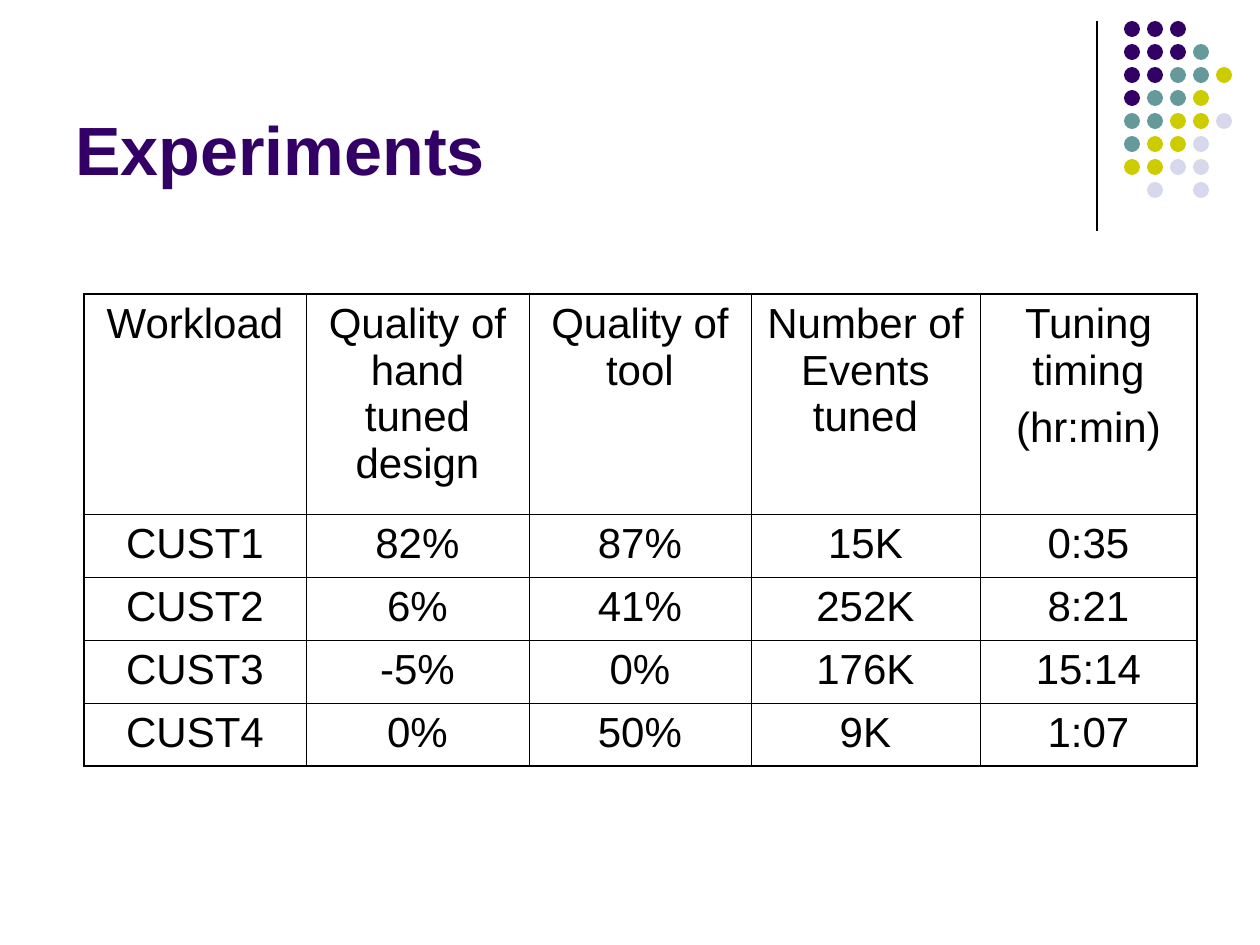
from typing import NamedTuple

import pptx
import pptx.dml.color
import pptx.enum.shapes
import pptx.enum.text
import pptx.oxml
import pptx.oxml.ns
import pptx.util

EMU_PER_PX = 914400 // 126
FONT = "Arial"
BLACK = "000000"
PURPLE = "330066"
OUTER_PT, INNER_PT = 1.08, 0.45


class Box(NamedTuple):
    left: int
    top: int
    width: int
    height: int


class Dot(NamedTuple):
    column: int
    row: int
    colour: str


# Each letter is one dot, a space leaves its place empty
DOT_COLOURS = {"P": PURPLE, "T": "669999", "Y": "CCCC00", "L": "D8D8EC"}
DOT_ROWS = ["PPP", "PPPT", "PPTTY", "PTTY", "TTYYL", "TYYL", "YYLL", " L L"]
DOT_LEFT, DOT_TOP, DOT_SIZE, DOT_PITCH = 1124, 21, 16, 23

TABLE_LEFT, TABLE_TOP = 84, 294
COLUMN_WIDTHS = [222, 223, 222, 229, 217]
ROW_HEIGHTS = [220, 63, 63, 63, 63]
RESULTS = [
    ["Workload", "Quality of hand tuned design", "Quality of tool",
     "Number of Events tuned", "Tuning timing\n(hr:min)"],
    ["CUST1", "82%", "87%", "15K", "0:35"],
    ["CUST2", "6%", "41%", "252K", "8:21"],
    ["CUST3", "-5%", "0%", "176K", "15:14"],
    ["CUST4", "0%", "50%", "9K", "1:07"],
]


def px(length: int) -> pptx.util.Emu:
    return pptx.util.Emu(length * EMU_PER_PX)


def colour(value: str) -> pptx.dml.color.RGBColor:
    return pptx.dml.color.RGBColor.from_string(value)


def set_font(para, size: int, value: str, bold: bool = False) -> None:
    para.font.name = FONT
    para.font.size = pptx.util.Pt(size)
    para.font.bold = bold
    para.font.color.rgb = colour(value)


def add_divider(page, x: int, top: int, bottom: int) -> None:
    line = page.shapes.add_connector(
        pptx.enum.shapes.MSO_CONNECTOR.STRAIGHT, px(x), px(top), px(x), px(bottom))
    line.line.color.rgb = colour(BLACK)
    line.line.width = pptx.util.Pt(0.75)
    line._element.spPr.append(pptx.oxml.parse_xml(
        f'<a:effectLst {pptx.oxml.ns.nsdecls("a")}/>'))


def add_dot(group, dot: Dot) -> None:
    shape = group.shapes.add_shape(
        pptx.enum.shapes.MSO_SHAPE.OVAL,
        px(DOT_LEFT + dot.column * DOT_PITCH), px(DOT_TOP + dot.row * DOT_PITCH),
        px(DOT_SIZE), px(DOT_SIZE))
    shape.shadow.inherit = False
    shape.fill.solid()
    shape.fill.fore_color.rgb = colour(dot.colour)
    shape.line.fill.background()


def add_title(page, text: str, box: Box) -> None:
    frame = page.shapes.add_textbox(*map(px, box)).text_frame
    frame.word_wrap = True
    frame.vertical_anchor = pptx.enum.text.MSO_ANCHOR.BOTTOM
    frame.text = text
    set_font(frame.paragraphs[0], 39, PURPLE, bold=True)


def set_borders(cell, widths: dict[str, float]) -> None:
    properties = cell._tc.get_or_add_tcPr()
    for position, (side, points) in enumerate(widths.items()):
        properties.insert(position, pptx.oxml.parse_xml(
            f'<a:ln{side} {pptx.oxml.ns.nsdecls("a")} w="{pptx.util.Pt(points)}">'
            f'<a:solidFill><a:srgbClr val="{BLACK}"/></a:solidFill></a:ln{side}>'))


def fill_cell(cell, text: str) -> None:
    cell.fill.background()
    cell.text = text
    for index, para in enumerate(cell.text_frame.paragraphs):
        para.alignment = pptx.enum.text.PP_ALIGN.CENTER
        if index:
            para.space_before = pptx.util.Pt(6)
        set_font(para, 24, BLACK)


def add_results(page) -> None:
    box = Box(TABLE_LEFT, TABLE_TOP, sum(COLUMN_WIDTHS), sum(ROW_HEIGHTS))
    last_row, last_column = len(ROW_HEIGHTS) - 1, len(COLUMN_WIDTHS) - 1
    table = page.shapes.add_table(
        last_row + 1, last_column + 1, *map(px, box)).table
    table.first_row = table.horz_banding = False
    for column, width in zip(table.columns, COLUMN_WIDTHS):
        column.width = px(width)
    for row, height in zip(table.rows, ROW_HEIGHTS):
        row.height = px(height)

    for r, texts in enumerate(RESULTS):
        for c, text in enumerate(texts):
            cell = table.cell(r, c)
            fill_cell(cell, text)
            edges = {"L": c == 0, "R": c == last_column,
                     "T": r == 0, "B": r == last_row}
            set_borders(cell, {side: OUTER_PT if outer else INNER_PT
                               for side, outer in edges.items()})


def main() -> None:
    deck = pptx.Presentation()
    deck.slide_width, deck.slide_height = px(1260), px(945)
    page = deck.slides.add_slide(deck.slide_layouts[6])

    # Corner decoration
    add_divider(page, 1097, 21, 231)
    group = page.shapes.add_group_shape()
    for row, letters in enumerate(DOT_ROWS):
        for column, letter in enumerate(letters):
            if letter in DOT_COLOURS:
                add_dot(group, Dot(column, row, DOT_COLOURS[letter]))

    # Title and results table
    add_title(page, "Experiments", Box(63, 16, 1040, 179))
    add_results(page)

    deck.save("out.pptx")


if __name__ == "__main__":
    main()
